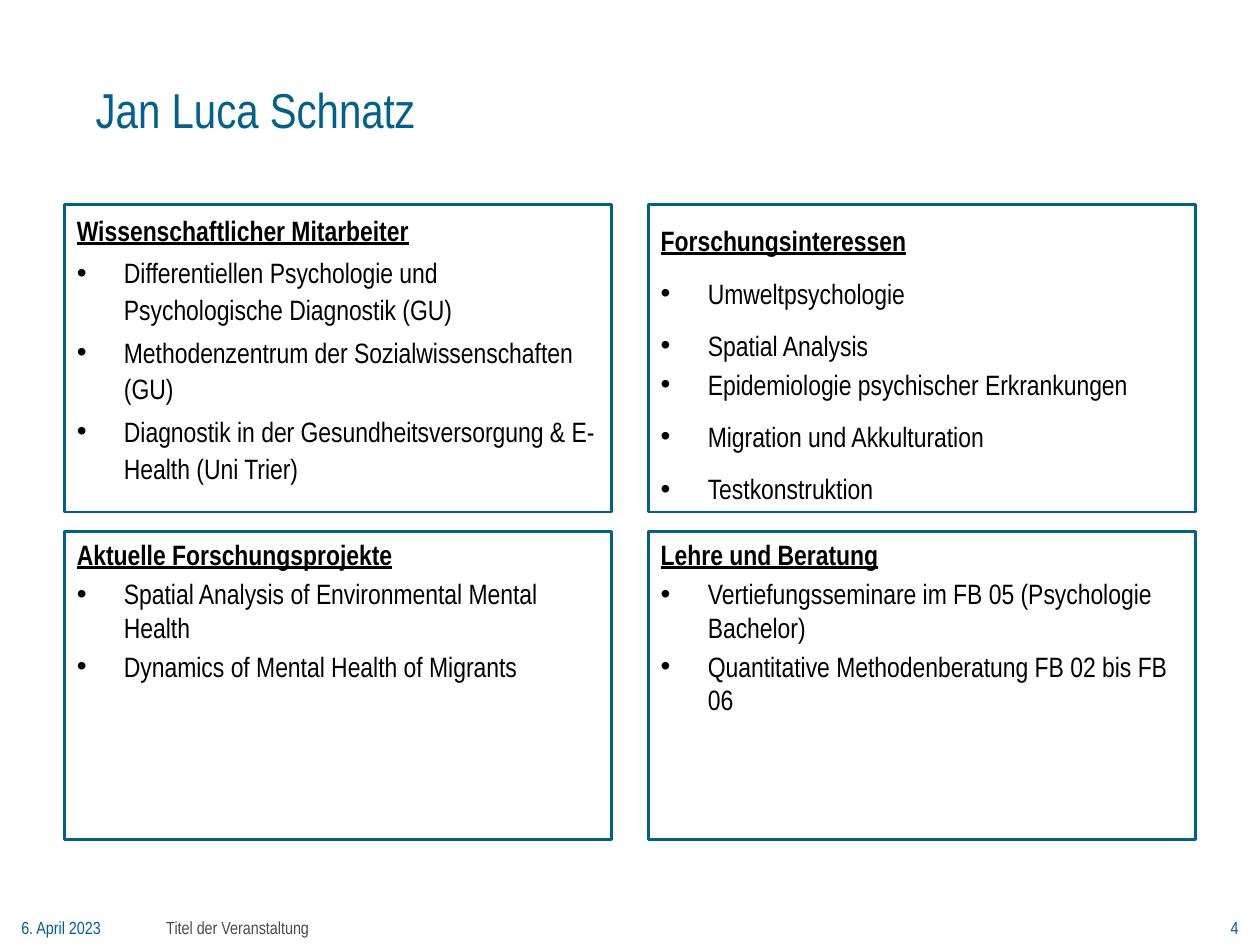
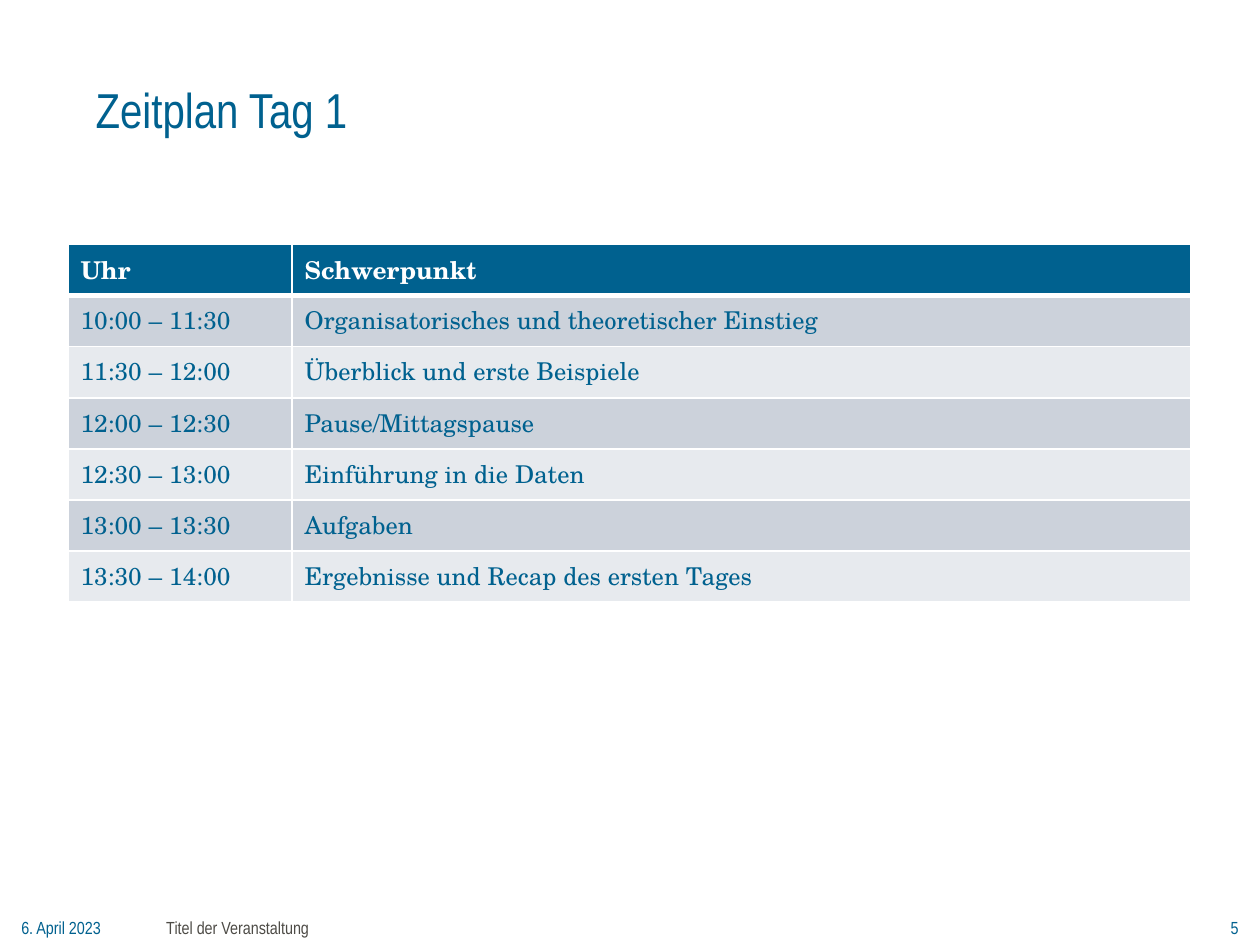
from lxml import etree
from pptx import Presentation
from pptx import util as u
from pptx.dml.color import RGBColor
from pptx.enum import shapes, text
from pptx.oxml import ns

BLUE, GREY, BLACK, WHITE = "00618F", "4D4B46", "000000", "FFFFFF"
BANDS = ("CCD2DB", "E7EAEE")
SANS, SERIF = "Arial Narrow", "TeX Gyre Schola"

DATE = "6. April 2023"
EVENT = "Titel der Veranstaltung"

PROFILE_TITLE = "Jan Luca Schnatz"
PANELS = [
    ("Wissenschaftlicher Mitarbeiter", 1.1, [
        "Differentiellen Psychologie und Psychologische Diagnostik (GU)",
        "Methodenzentrum der Sozialwissenschaften (GU)",
        "Diagnostik in der Gesundheitsversorgung & E-Health (Uni Trier)",
    ]),
    ("Forschungsinteressen", 1.4, [
        "Umweltpsychologie",
        "Spatial Analysis",
        "Epidemiologie psychischer Erkrankungen",
        "Migration und Akkulturation",
        "Testkonstruktion",
    ]),
    ("Aktuelle Forschungsprojekte", 1.0, [
        "Spatial Analysis of Environmental Mental Health",
        "Dynamics of Mental Health of Migrants",
    ]),
    ("Lehre und Beratung", 1.0, [
        "Vertiefungsseminare im FB 05 (Psychologie Bachelor)",
        "Quantitative Methodenberatung FB 02 bis FB 06",
    ]),
]
SINGLE_SPACED = {"Epidemiologie psychischer Erkrankungen"}

SCHEDULE_TITLE = "Zeitplan Tag 1"
SCHEDULE = [
    ("Uhr", "Schwerpunkt"),
    ("10:00 – 11:30", "Organisatorisches und theoretischer Einstieg"),
    ("11:30 – 12:00", "Überblick und erste Beispiele"),
    ("12:00 – 12:30", "Pause/Mittagspause"),
    ("12:30 – 13:00", "Einführung in die Daten"),
    ("13:00 – 13:30", "Aufgaben"),
    ("13:30 – 14:00", "Ergebnisse und Recap des ersten Tages"),
]

PANEL_LEFT, PANEL_TOP = 1.3, 4.12
PANEL_WIDTH, PANEL_HEIGHT = 11.03, 6.2
COLUMN_STEP, ROW_STEP = 11.77, 6.6
TABLE_LEFT, TABLE_TOP, ROW_HEIGHT = 1.37, 4.93, 1.03
COLUMN_WIDTHS = (4.52, 18.11)


def colour(value):
    return RGBColor.from_string(value)


def box(*lengths):
    return [u.Cm(length) for length in lengths]


def style(paragraph, size, hue, font=SANS, bold=False, underline=False):
    for run in paragraph.runs:
        run.font.size = u.Pt(size)
        run.font.name = font
        run.font.bold = bold
        run.font.underline = underline
        run.font.color.rgb = colour(hue)


def add_text(slide, place, words, size, hue=BLUE, insets=(0, 0, 0, 0), wrap=True,
             align=text.PP_ALIGN.LEFT, anchor=text.MSO_ANCHOR.TOP):
    frame = slide.shapes.add_textbox(*box(*place)).text_frame
    frame.margin_left, frame.margin_top, frame.margin_right, frame.margin_bottom = box(*insets)
    frame.word_wrap = wrap
    frame.vertical_anchor = anchor
    frame.text = words
    paragraph = frame.paragraphs[0]
    paragraph.alignment = align
    style(paragraph, size, hue)


def add_slide(presentation, title, number):
    slide = presentation.slides.add_slide(presentation.slide_layouts[6])
    add_text(slide, (0.43, 18.49, 1.65, 0.43), DATE, 10, wrap=False)
    add_text(slide, (1.68, 0.53, 15.21, 2.39), title, 28,
             insets=(0.25, 0.13, 0.25, 0.13), anchor=text.MSO_ANCHOR.BOTTOM)
    add_text(slide, (24.0, 18.49, 0.97, 0.51), str(number), 10, align=text.PP_ALIGN.RIGHT)
    add_text(slide, (3.1, 18.49, 19.61, 0.46), EVENT, 10, GREY, insets=(0.25, 0, 0.25, 0.13))
    return slide


def add_bullet(paragraph):
    properties = paragraph._p.get_or_add_pPr()
    properties.set("marL", str(u.Cm(0.95)))
    properties.set("indent", str(u.Cm(-0.95)))
    etree.SubElement(properties, ns.qn("a:buFont")).set("typeface", "Arial")
    etree.SubElement(properties, ns.qn("a:buChar")).set("char", "•")


def add_panel(slide, left, top, heading, spacing, items):
    panel = slide.shapes.add_shape(shapes.MSO_SHAPE.RECTANGLE,
                                   *box(left, top, PANEL_WIDTH, PANEL_HEIGHT))
    panel.shadow.inherit = False
    panel.fill.background()
    panel.line.color.rgb = colour(BLUE)
    panel.line.width = u.Pt(1.5)
    frame = panel.text_frame
    frame.word_wrap = True
    frame.vertical_anchor = text.MSO_ANCHOR.TOP
    frame.text = "\n".join([heading, *items])
    for index, paragraph in enumerate(frame.paragraphs):
        is_heading = index == 0
        paragraph.alignment = text.PP_ALIGN.LEFT
        paragraph.line_spacing = 1.0 if paragraph.text in SINGLE_SPACED else spacing
        paragraph.space_before = u.Pt(3)
        style(paragraph, 16, BLACK, bold=is_heading, underline=is_heading)
        if not is_heading:
            add_bullet(paragraph)


def add_borders(cell, bottom_width):
    properties = cell._tc.get_or_add_tcPr()
    for side, width in (("L", 1), ("R", 1), ("T", 1), ("B", bottom_width)):
        line = etree.SubElement(properties, ns.qn("a:ln" + side), w=str(u.Pt(width)))
        fill = etree.SubElement(line, ns.qn("a:solidFill"))
        etree.SubElement(fill, ns.qn("a:srgbClr"), val=WHITE)


def add_schedule(slide, rows):
    table = slide.shapes.add_table(
        len(rows), len(COLUMN_WIDTHS),
        *box(TABLE_LEFT, TABLE_TOP, sum(COLUMN_WIDTHS), ROW_HEIGHT * len(rows))).table
    for column, width in zip(table.columns, COLUMN_WIDTHS):
        column.width = u.Cm(width)
    for row_index, row in enumerate(rows):
        is_header = row_index == 0
        table.rows[row_index].height = u.Cm(ROW_HEIGHT)
        for column_index, words in enumerate(row):
            cell = table.cell(row_index, column_index)
            cell.text_frame.text = words
            style(cell.text_frame.paragraphs[0], 14, WHITE if is_header else BLUE,
                  SERIF, bold=is_header)
            add_borders(cell, 3 if is_header else 1)
            cell.fill.solid()
            cell.fill.fore_color.rgb = colour(BLUE if is_header else BANDS[(row_index - 1) % 2])


presentation = Presentation()
presentation.slide_width, presentation.slide_height = box(25.4, 19.05)

profile = add_slide(presentation, PROFILE_TITLE, 4)
for index, panel_content in enumerate(PANELS):
    row, column = divmod(index, 2)
    add_panel(profile, PANEL_LEFT + column * COLUMN_STEP, PANEL_TOP + row * ROW_STEP, *panel_content)

schedule = add_slide(presentation, SCHEDULE_TITLE, 5)
add_schedule(schedule, SCHEDULE)

presentation.save("out.pptx")
